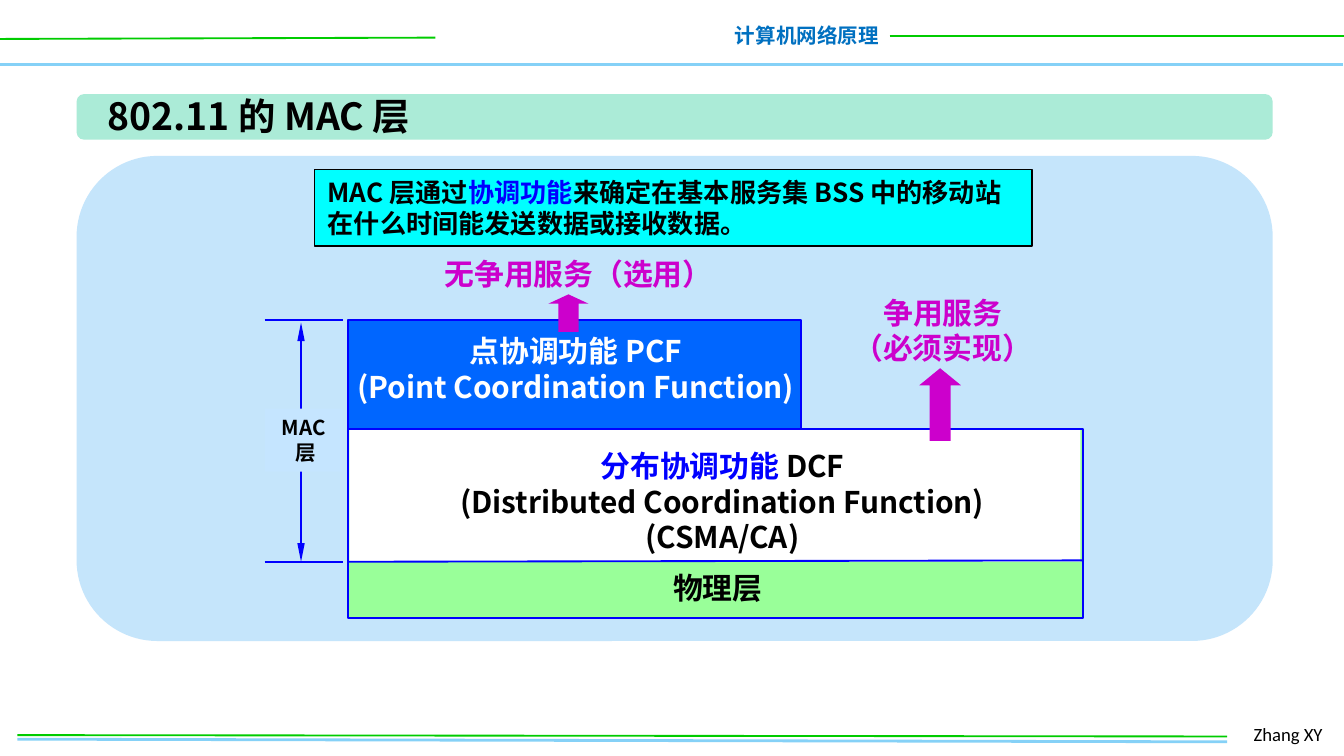
from pptx import Presentation
from pptx.dml.color import RGBColor
from pptx.enum.shapes import MSO_CONNECTOR, MSO_SHAPE
from pptx.enum.text import MSO_ANCHOR, MSO_AUTO_SIZE, PP_ALIGN
from pptx.oxml.ns import qn
from pptx.util import Inches, Pt
from lxml.etree import SubElement

CJK_FONT = "Noto Sans CJK SC"
BLACK, WHITE, BLUE, MAGENTA = "000000", "FFFFFF", "0000FF", "CC00CC"
GREEN, SKY = "00CC00", "85D1F7"

# Grid of the layer diagram, in inches
STACK_LEFT, PCF_RIGHT, STACK_RIGHT = 2.59, 5.96, 8.06
MAC_TOP, DCF_TOP, MAC_BASE, STACK_BASE = 2.38, 3.19, 4.18, 4.6
SCALE_LEFT, SCALE_RIGHT, SCALE_X = 1.97, 2.55, 2.24
BAND_LEFT, BAND_WIDTH = 0.57, 8.9


def color(hex_code):
    return RGBColor.from_string(hex_code)


def write(shape, lines, size, ink=BLACK, align=PP_ALIGN.LEFT, wrap=False,
          font=CJK_FONT, bold=True, anchor=MSO_ANCHOR.TOP):
    """Each line is a list of runs; a run is a string or a (string, colour) pair."""
    frame = shape.text_frame
    frame.word_wrap = wrap
    frame.auto_size = MSO_AUTO_SIZE.SHAPE_TO_FIT_TEXT
    frame.vertical_anchor = anchor
    for index, runs in enumerate(lines):
        paragraph = frame.add_paragraph() if index else frame.paragraphs[0]
        paragraph.alignment = align
        paragraph.line_spacing = 1.0
        paragraph.space_before = Pt(0)
        paragraph.font.size = Pt(size)
        paragraph.font.bold = bold
        paragraph.font.color.rgb = color(ink)
        paragraph.font.name = font
        for part in runs:
            words, run_ink = part if isinstance(part, tuple) else (part, None)
            run = paragraph.add_run()
            run.text = words
            if run_ink:
                run.font.color.rgb = color(run_ink)


def add_label(slide, box, lines, size, **style):
    label = slide.shapes.add_textbox(*map(Inches, box))
    write(label, lines, size, **style)


def add_block(slide, kind, box, fill, outline=None, width=1):
    block = slide.shapes.add_shape(kind, *map(Inches, box))
    block.shadow.inherit = False
    block.fill.solid()
    block.fill.fore_color.rgb = color(fill)
    if outline:
        block.line.color.rgb = color(outline)
        block.line.width = Pt(width)
    else:
        block.line.fill.background()
    return block


def add_rule(slide, start, end, ink, width=1, arrows=False):
    rule = slide.shapes.add_connector(MSO_CONNECTOR.STRAIGHT,
                                      *map(Inches, start + end))
    rule.line.color.rgb = color(ink)
    rule.line.width = Pt(width)
    if arrows:
        for tip in ("a:headEnd", "a:tailEnd"):
            SubElement(rule.line._get_or_add_ln(), qn(tip),
                       type="triangle", w="sm", len="lg")
    SubElement(rule._element.spPr, qn("a:effectLst"))


def add_up_arrow(slide, box, head):
    arrow = add_block(slide, MSO_SHAPE.UP_ARROW, box, MAGENTA)
    arrow.adjustments[1] = head


def add_page_frame(slide):
    # Header
    add_rule(slide, (-0.01, 0.48), (9.99, 0.48), SKY, 2)
    add_rule(slide, (0, 0.29), (3.24, 0.28), GREEN)
    add_label(slide, (5.36, 0.12, 1.28, 0.29), [["计算机网络原理"]], 11,
              ink="0070C0", align=PP_ALIGN.RIGHT)
    add_rule(slide, (6.62, 0.27), (10.01, 0.27), GREEN)
    # Footer
    add_rule(slide, (0.13, 5.5), (9.13, 5.52), SKY, 1.5)
    add_label(slide, (9.23, 5.33, 0.78, 0.27), [["Zhang XY"]], 10,
              font="Calibri", bold=False, wrap=True)
    add_rule(slide, (0.13, 5.47), (9.13, 5.48), GREEN)


def add_title(slide):
    add_block(slide, MSO_SHAPE.ROUNDED_RECTANGLE,
              (BAND_LEFT, 0.7, BAND_WIDTH, 0.34), "ABEBD7")
    title = slide.shapes.title
    title.left, title.top, title.width, title.height = map(
        Inches, (0.7, 0.64, 2.73, 0.44))
    write(title, [["802.11 的 MAC 层"]], 20)
    slide.shapes._spTree.append(title._element)  # in front of its band


def add_mac_scale(slide):
    add_rule(slide, (SCALE_X, MAC_TOP + 0.02), (SCALE_X, MAC_BASE), BLUE,
             arrows=True)
    mac = add_block(slide, MSO_SHAPE.RECTANGLE,
                    (SCALE_LEFT, 3.04, SCALE_RIGHT - SCALE_LEFT, 0.47), "C5E5FF")
    write(mac, [["MAC"], [" 层"]], 11, align=PP_ALIGN.CENTER)
    for y in (MAC_TOP, MAC_BASE):
        add_rule(slide, (SCALE_LEFT, y), (SCALE_RIGHT, y), BLUE)


def add_layers(slide):
    full = STACK_RIGHT - STACK_LEFT
    center = PP_ALIGN.CENTER
    # Blocks
    add_block(slide, MSO_SHAPE.RECTANGLE,
              (STACK_LEFT, DCF_TOP, full, STACK_BASE - DCF_TOP), "99FF99", BLUE)
    add_block(slide, MSO_SHAPE.RECTANGLE,
              (STACK_LEFT + 0.01, DCF_TOP + 0.01, full - 0.03, MAC_BASE - DCF_TOP - 0.01),
              WHITE)
    add_block(slide, MSO_SHAPE.RECTANGLE,
              (STACK_LEFT, MAC_TOP, PCF_RIGHT - STACK_LEFT, DCF_TOP - MAC_TOP),
              "0066FF", BLUE)
    add_rule(slide, (STACK_LEFT, MAC_BASE), (STACK_RIGHT, MAC_BASE - 0.01), BLUE)
    # Names of the layers
    add_label(slide, (2.5, 2.43, 3.57, 0.64),
              [["点协调功能 PCF"], ["(Point Coordination Function)"]],
              16, ink=WHITE, align=center)
    add_label(slide, (3.25, 3.28, 4.25, 0.91),
              [[("分布协调功能 ", BLUE), "DCF"],
               ["(Distributed Coordination Function)"], ["(CSMA/CA)"]],
              16, align=center)
    add_label(slide, (4.91, 4.19, 0.88, 0.37), [["物理层"]], 16)


def add_services(slide):
    add_label(slide, (3.21, 1.85, 2.56, 0.37), [["无争用服务（选用）"]], 16,
              ink=MAGENTA, wrap=True)
    add_label(slide, (6.24, 2.14, 1.55, 0.64), [["争用服务"], ["（必须实现）"]], 16,
              ink=MAGENTA, align=PP_ALIGN.CENTER)
    add_up_arrow(slide, (6.84, 2.74, 0.31, 0.54), 0.41)
    add_up_arrow(slide, (4.08, 2.19, 0.3, 0.28), 0.25)


def main():
    deck = Presentation()
    deck.slide_width = Inches(10)
    deck.slide_height = deck.slide_width * 9 // 16
    slide = deck.slides.add_slide(deck.slide_layouts[5])

    add_page_frame(slide)
    add_block(slide, MSO_SHAPE.ROUNDED_RECTANGLE,
              (BAND_LEFT, 1.16, BAND_WIDTH, 3.61), "C5E5FB")
    add_title(slide)

    # Statement above the diagram
    statement = add_block(slide, MSO_SHAPE.RECTANGLE, (2.34, 1.26, 5.34, 0.57),
                          "00FFFF", BLACK, 0.75)
    write(statement, [["MAC 层通过", ("协调功能", BLUE),
                       "来确定在基本服务集 BSS 中的移动站在什么时间能发送数据或接收数据。"]],
          14, wrap=True)

    add_mac_scale(slide)
    add_layers(slide)
    add_services(slide)
    deck.save("out.pptx")


if __name__ == "__main__":
    main()
